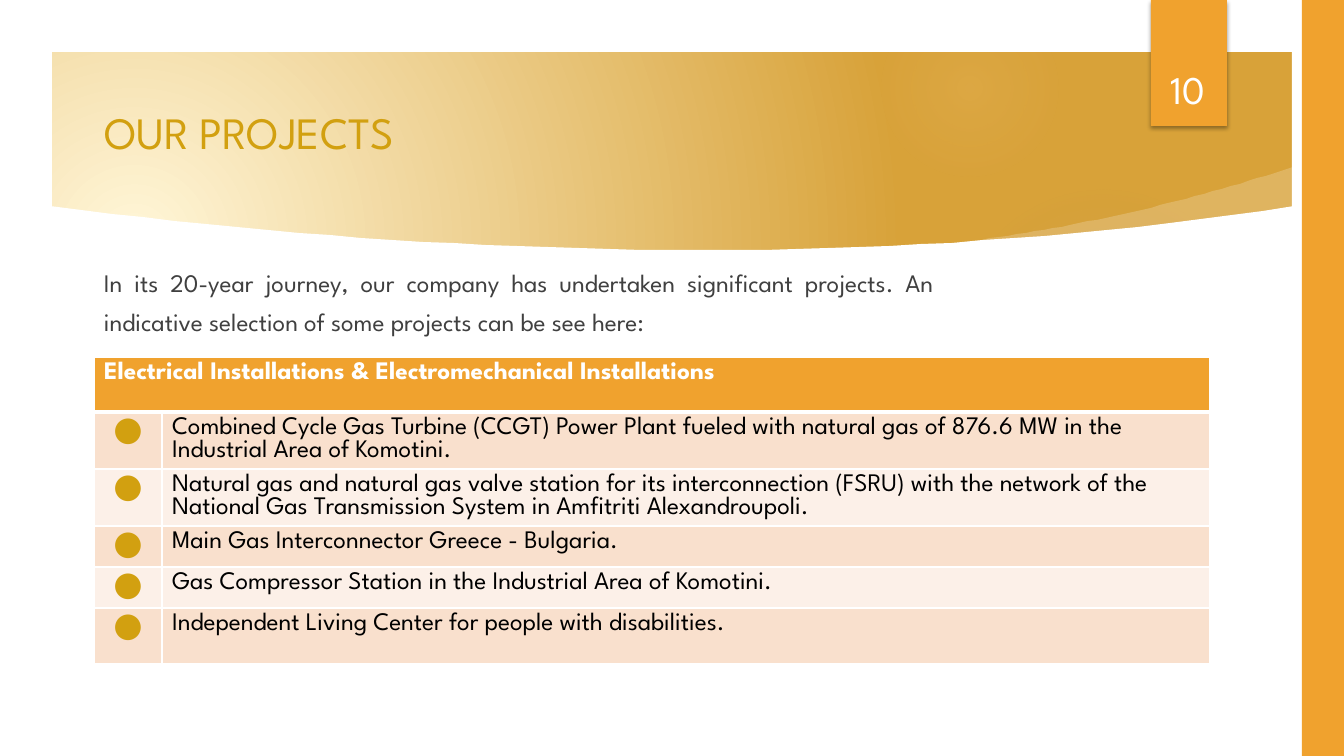
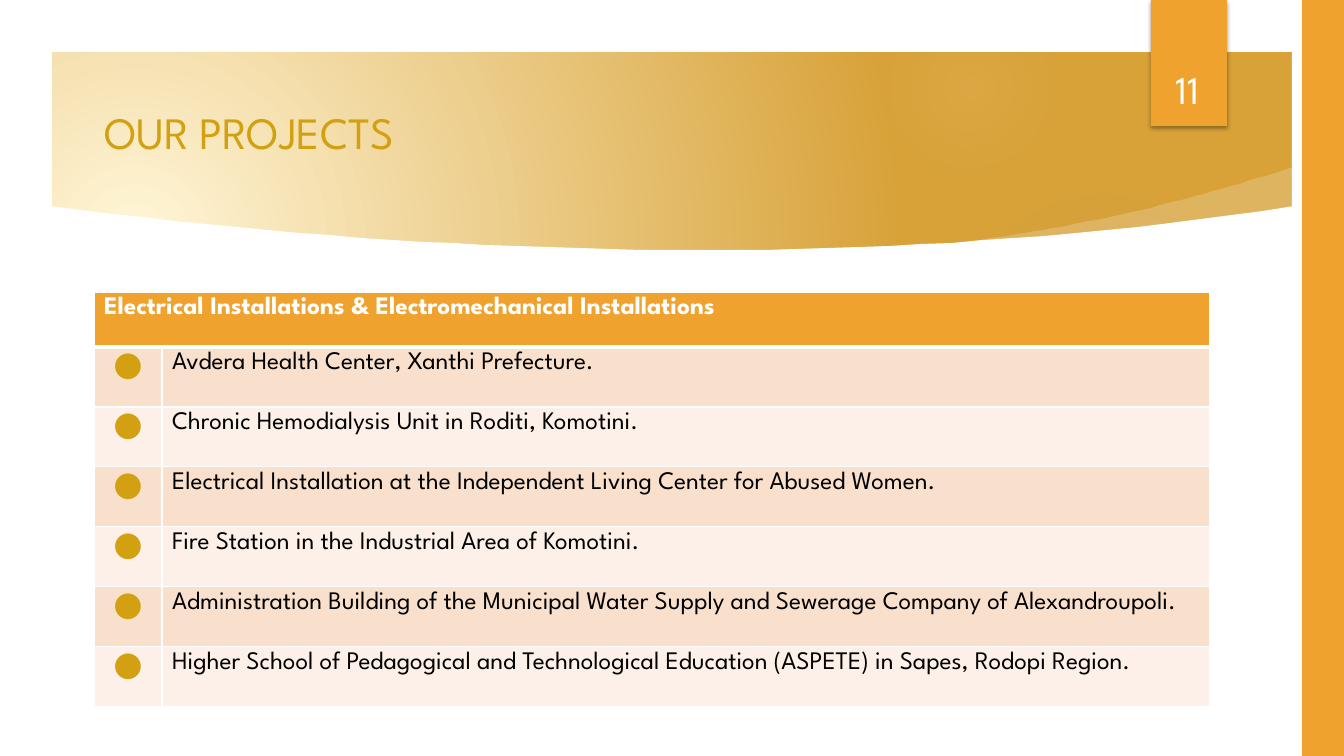
"""Build two project-list slides that share one decorated layout."""
from lxml.etree import SubElement
from pptx import Presentation
from pptx.dml.color import RGBColor
from pptx.enum.shapes import MSO_SHAPE
from pptx.enum.text import MSO_ANCHOR, PP_ALIGN
from pptx.oxml.ns import qn
from pptx.util import Pt

PX = 914400 / 100.8
WIDTH, HEIGHT = 1344, 756
MARGIN = 52
LEFT, CONTENT_WIDTH = 94, 1116
DOT_COLUMN = 68
FONT = "League Spartan"

WHITE = RGBColor(0xFF, 0xFF, 0xFF)
BLACK = RGBColor(0x00, 0x00, 0x00)
DARK_GREY = RGBColor(0x40, 0x40, 0x40)
ORANGE = RGBColor(0xF0, 0xA2, 0x2E)
GOLD = RGBColor(0xD2, 0xA0, 0x10)
CREAM = RGBColor(0xFF, 0xF6, 0xD8)
OCHRE = RGBColor(0xD8, 0xA2, 0x39)
TAUPE = RGBColor(0xA1, 0x95, 0x74)
APRICOT = RGBColor(0xF6, 0xC7, 0x82)
BANDS = [RGBColor(0xF9, 0xE0, 0xCD), RGBColor(0xFC, 0xF0, 0xE8)]

PROJECT_PAGES = [
    {
        "number": "10",
        "intro": "In its 20-year journey, our company has undertaken significant projects. "
                 "An indicative selection of some projects can be see here:",
        "table_top": 357,
        "projects": [
            ("Combined Cycle Gas Turbine (CCGT) Power Plant fueled with natural gas "
             "of 876.6 MW in the Industrial Area of Komotini.", 57),
            ("Natural gas and natural gas valve station for its interconnection (FSRU) with the "
             "network of the National Gas Transmission System in Amfitriti Alexandroupoli.", 57),
            ("Main Gas Interconnector Greece - Bulgaria.", 41),
            ("Gas Compressor Station in the Industrial Area of Komotini.", 41),
            ("Independent Living Center for people with disabilities.", 56),
        ],
    },
    {
        "number": "11",
        "intro": None,
        "table_top": 292,
        "projects": [
            ("Avdera Health Center, Xanthi Prefecture.", 60),
            ("Chronic Hemodialysis Unit in Roditi, Komotini.", 60),
            ("Electrical Installation at the Independent Living Center for Abused Women.", 60),
            ("Fire Station in the Industrial Area of Komotini.", 60),
            ("Administration Building of the Municipal Water Supply and Sewerage Company "
             "of Alexandroupoli.", 60),
            ("Higher School of Pedagogical and Technological Education (ASPETE) in Sapes, "
             "Rodopi Region.", 60),
        ],
    },
]


def radial_fill(owner, stops, focus):
    """Turn the first gradient inside owner into a circular one; stops are (%, colour, alpha %)."""
    gradient = owner.find(".//" + qn("a:gradFill"))
    for child in list(gradient):
        gradient.remove(child)
    stop_list = SubElement(gradient, qn("a:gsLst"))
    for position, color, alpha in stops:
        stop = SubElement(stop_list, qn("a:gs"), pos=str(position * 1000))
        tint = SubElement(stop, qn("a:srgbClr"), val=str(color))
        if alpha < 100:
            SubElement(tint, qn("a:alpha"), val=str(alpha * 1000))
    circle = SubElement(gradient, qn("a:path"), path="circle")
    SubElement(circle, qn("a:fillToRect"),
               **{side: str(share * 1000) for side, share in zip("ltrb", focus)})


def write(frame, text, size, color, align=PP_ALIGN.LEFT, bold=False):
    """Put one formatted run into the first paragraph and return that paragraph."""
    paragraph = frame.paragraphs[0]
    paragraph.alignment = align
    run = paragraph.add_run()
    run.text = text
    run.font.name = FONT
    run.font.size = Pt(size)
    run.font.bold = bold
    run.font.color.rgb = color
    return paragraph


prs = Presentation()
prs.slide_width, prs.slide_height = round(WIDTH * PX), round(HEIGHT * PX)
layout = prs.slide_layouts[5]
slides = [prs.slides.add_slide(layout) for page in PROJECT_PAGES]

layout.background.fill.gradient()
radial_fill(layout.element, [(0, CREAM, 100), (100, OCHRE, 100)], (45, 65, 125, 100))
layout_title = layout.placeholders[0]
layout_title.left, layout_title.top = round(LEFT * PX), round(20 * PX)
layout_title.width, layout_title.height = round(CONTENT_WIDTH * PX), round(144 * PX)
layout_title.text_frame.vertical_anchor = MSO_ANCHOR.BOTTOM

shapes = slides[0].shapes
decorations = []

for x, y, diameter, stops in [
    (949, 184, 310, [(0, TAUPE, 7), (36, TAUPE, 6), (69, TAUPE, 0)]),
    (882, 0, 176, [(0, APRICOT, 14), (36, APRICOT, 7), (73, APRICOT, 0)]),
]:
    glow = shapes.add_shape(MSO_SHAPE.OVAL, *[round(v * PX) for v in (x, y, diameter, diameter)])
    glow.fill.gradient()
    radial_fill(glow.element.spPr, stops, (50, 50, 50, 50))
    decorations.append(glow)

steps = [i / 40 for i in range(41)]
swoosh_edge = [(937 + 356 * t, 245 - 39 * t - 39 * t * t) for t in steps]
swoosh_outline = swoosh_edge + [(1299, 216), (941, 252)]
panel_edge = [(672 + 622 * u, 206 + (1 - u * u) * (44 + 4 * u))
              for u in [2 * t - 1 for t in steps]]
panel_outline = panel_edge + [(1294, 706), (50, 706)]

for outline, alpha in [(swoosh_outline, 20), (panel_outline, 100)]:
    builder = shapes.build_freeform(*outline[0], scale=PX)
    builder.add_line_segments(outline[1:], close=True)
    sweep = builder.convert_to_shape()
    sweep.fill.solid()
    sweep.fill.fore_color.rgb = WHITE
    if alpha < 100:
        tint = sweep.element.spPr.find(".//" + qn("a:srgbClr"))
        SubElement(tint, qn("a:alpha"), val=str(alpha * 1000))
    decorations.append(sweep)

for kind, box, color in [
    (MSO_SHAPE.FRAME, (0, 0, WIDTH, HEIGHT), WHITE),
    (MSO_SHAPE.RECTANGLE, (1302, 0, 42, HEIGHT), ORANGE),
    (MSO_SHAPE.RECTANGLE, (1151, 0, 76, 126), ORANGE),
]:
    band = shapes.add_shape(kind, *[round(v * PX) for v in box])
    if kind == MSO_SHAPE.FRAME:
        band.adjustments[0] = MARGIN / HEIGHT
    band.fill.solid()
    band.fill.fore_color.rgb = color
    decorations.append(band)

for index, decoration in enumerate(decorations):
    decoration.line.fill.background()
    decoration.shadow.inherit = False
    decoration.element.nvSpPr.cNvPr.id = 20 + index
    layout.shapes.element.append(decoration.element)

number_tab = decorations[-1]
effects = number_tab.element.spPr.find(qn("a:effectLst"))
shadow = SubElement(effects, qn("a:outerShdw"), blurRad=str(Pt(3)), dist=str(Pt(2)),
                    dir="5400000", rotWithShape="0")
shadow_color = SubElement(shadow, qn("a:srgbClr"), val=str(BLACK))
SubElement(shadow_color, qn("a:alpha"), val="35000")

for slide, page in zip(slides, PROJECT_PAGES):
    write(slide.shapes.title.text_frame, "OUR PROJECTS", 32, GOLD)

    heights = [55] + [height for project, height in page["projects"]]
    table_box = (LEFT, page["table_top"], CONTENT_WIDTH, sum(heights))
    table = slide.shapes.add_table(len(heights), 2, *[round(v * PX) for v in table_box]).table
    table.columns[0].width = round(DOT_COLUMN * PX)
    table.columns[1].width = round((CONTENT_WIDTH - DOT_COLUMN) * PX)
    table.cell(0, 0).merge(table.cell(0, 1))
    write(table.cell(0, 0).text_frame, "Electrical Installations & Electromechanical Installations",
          18, WHITE, bold=True)
    for row, (project, height) in enumerate(page["projects"], start=1):
        write(table.cell(row, 0).text_frame, "●", 24, GOLD, PP_ALIGN.CENTER)
        write(table.cell(row, 1).text_frame, project, 18, BLACK)

    for row, height in enumerate(heights):
        table.rows[row].height = round(height * PX)
        for cell in table.rows[row].cells:
            properties = cell._tc.get_or_add_tcPr()
            for side in "LRTB":
                thick = (row, side) in [(0, "B"), (1, "T")]
                border = SubElement(properties, qn("a:ln" + side), w=str(Pt(3 if thick else 1)))
                SubElement(SubElement(border, qn("a:solidFill")), qn("a:srgbClr"), val=str(WHITE))
            cell.fill.solid()
            cell.fill.fore_color.rgb = BANDS[(row - 1) % 2] if row else ORANGE

    number = slide.shapes.add_textbox(*[round(v * PX) for v in (1141, 32, 93, 85)]).text_frame
    number.word_wrap = True
    number.vertical_anchor = MSO_ANCHOR.BOTTOM
    write(number, page["number"], 28, WHITE, PP_ALIGN.CENTER)

    if page["intro"]:
        intro = slide.shapes.add_textbox(*[round(v * PX) for v in (LEFT, 253, 850, 75)]).text_frame
        intro.word_wrap = True
        write(intro, page["intro"], 18, DARK_GREY, PP_ALIGN.JUSTIFY).line_spacing = 1.3

prs.save("out.pptx")
